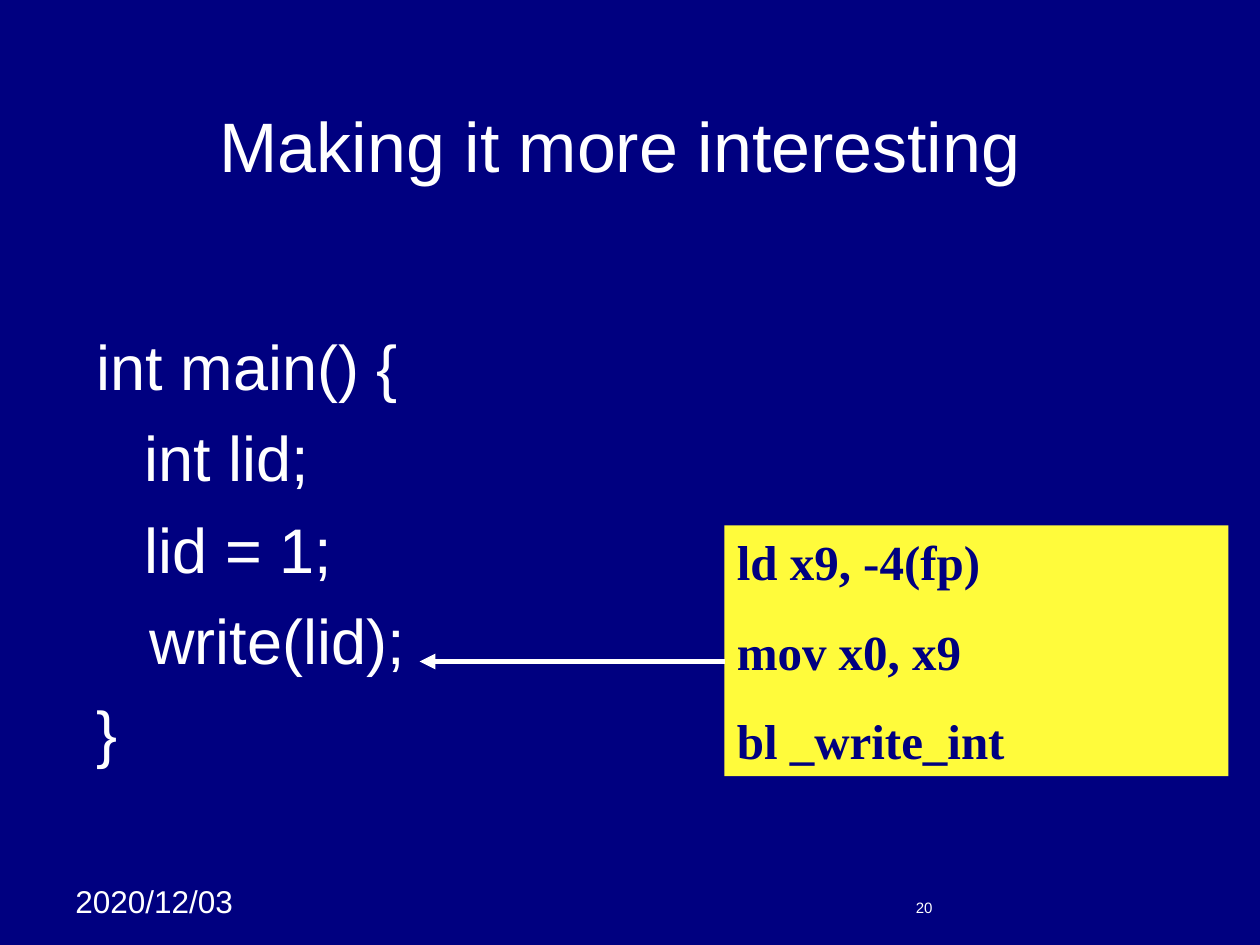
from dataclasses import dataclass, field

from lxml import etree
from pptx import Presentation
from pptx import util as u
from pptx.dml.color import RGBColor
from pptx.enum import shapes, text
from pptx.oxml.ns import qn

COLORS = {"navy": "000080", "white": "FFFFFF", "yellow": "FFFB3B"}


@dataclass(frozen=True)
class Block:
    lines: tuple[str, ...]
    left: float
    top: float
    width: float
    height: float
    size: float
    font: str = "Arial"
    color: str = "white"
    bold: bool = False
    fill: str | None = None
    space_before: float = 0
    hanging: float = 0
    frame_format: dict = field(default_factory=dict)
    alignment: text.PP_ALIGN = text.PP_ALIGN.LEFT


BLOCKS = (
    Block(("2020/12/03",), 0.5, 6.95, 1.58, 0.5, 18),
    Block(("20",), 7.17, 7.08, 2.33, 0.27, 8.6),
    Block(("Making it more interesting",), 0.42, 0.52, 9, 1.25, 40,
          frame_format={"vertical_anchor": text.MSO_ANCHOR.MIDDLE},
          alignment=text.PP_ALIGN.CENTER),
    Block(("int main() {", "\tint lid;", "\tlid = 1;", "   write(lid);", "}"),
          0.67, 2.55, 8.5, 4.28, 36, space_before=9, hanging=0.38),
    Block(("ld x9, -4(fp)", "mov x0, x9", "bl _write_int"),
          5.75, 4.17, 4, 1.99, 28, font="Times New Roman", color="navy",
          bold=True, fill="yellow", space_before=17.5),
)


def rgb(name: str) -> RGBColor:
    return RGBColor.from_string(COLORS[name])


def apply(target, values: dict) -> None:
    for name, value in values.items():
        setattr(target, name, value)


def draw_block(slide, block: Block) -> None:
    place = [u.Inches(n) for n in (block.left, block.top, block.width, block.height)]
    if block.fill:
        box = slide.shapes.add_shape(shapes.MSO_SHAPE.RECTANGLE, *place)
        box.shadow.inherit = False
        box.fill.solid()
        box.fill.fore_color.rgb = rgb(block.fill)
        box.line.fill.background()
    else:
        box = slide.shapes.add_textbox(*place)
    frame = box.text_frame
    apply(frame, {
        "word_wrap": True,
        "vertical_anchor": text.MSO_ANCHOR.TOP,
        **block.frame_format,
    })
    for index, line in enumerate(block.lines):
        paragraph = frame.add_paragraph() if index else frame.paragraphs[0]
        paragraph.alignment = block.alignment
        if index:
            paragraph.space_before = u.Pt(block.space_before)
        if block.hanging:
            properties = paragraph._p.get_or_add_pPr()
            properties.set("marL", str(u.Inches(block.hanging)))
            properties.set("indent", str(-u.Inches(block.hanging)))
        run = paragraph.add_run()
        run.text = line
        apply(run.font, {"name": block.font, "size": u.Pt(block.size), "bold": block.bold})
        run.font.color.rgb = rgb(block.color)


def draw_arrow(slide, start: tuple[float, float], end: tuple[float, float]) -> None:
    arrow = slide.shapes.add_connector(
        shapes.MSO_CONNECTOR.STRAIGHT, *(u.Inches(n) for n in (*start, *end)))
    arrow.line.width = u.Pt(3)
    arrow.line.color.rgb = rgb("white")
    etree.SubElement(arrow.line._get_or_add_ln(), qn("a:tailEnd"), type="triangle")
    etree.SubElement(arrow._element.spPr, qn("a:effectLst"))


def main() -> None:
    deck = Presentation()
    apply(deck, {"slide_width": u.Inches(10), "slide_height": u.Inches(7.5)})
    slide = deck.slides.add_slide(deck.slide_layouts[6])
    slide.background.fill.solid()
    slide.background.fill.fore_color.rgb = rgb("navy")
    for block in BLOCKS:
        draw_block(slide, block)
    draw_arrow(slide, (5.75, 5.25), (3.33, 5.25))
    deck.save("out.pptx")


if __name__ == "__main__":
    main()
